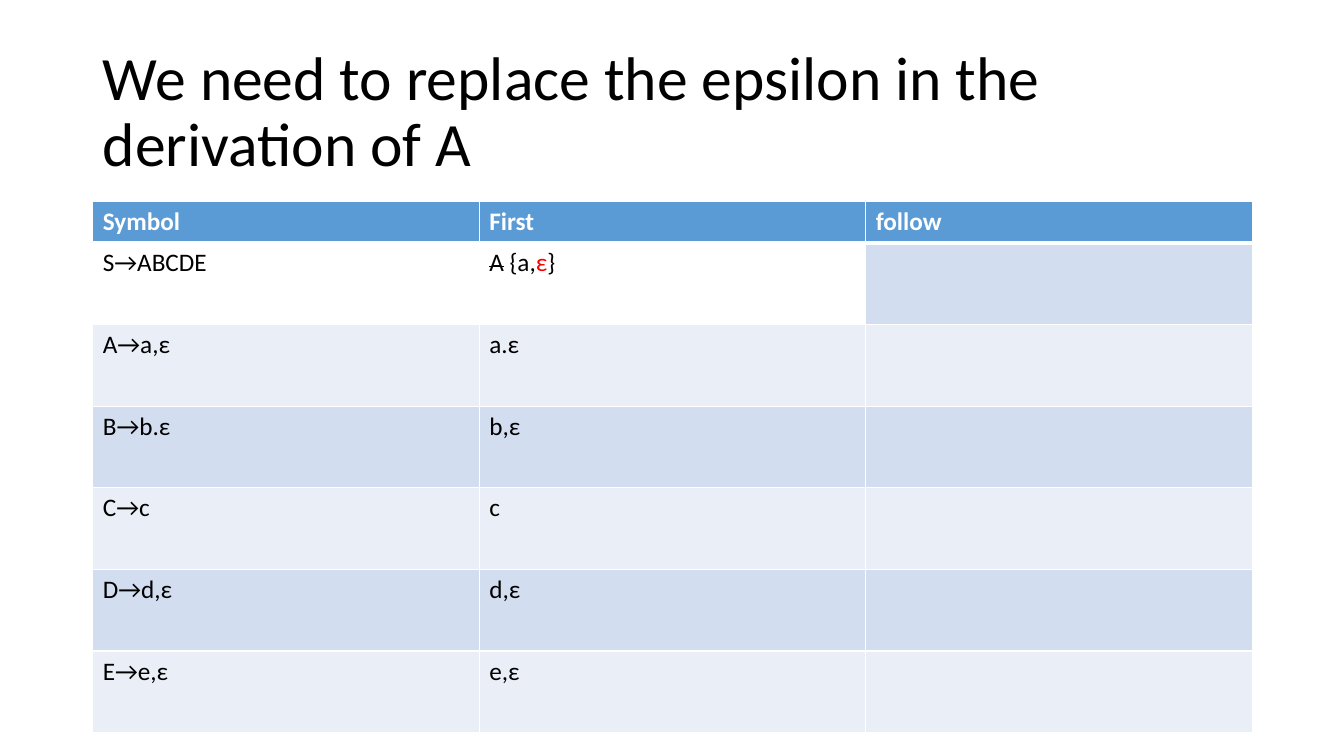
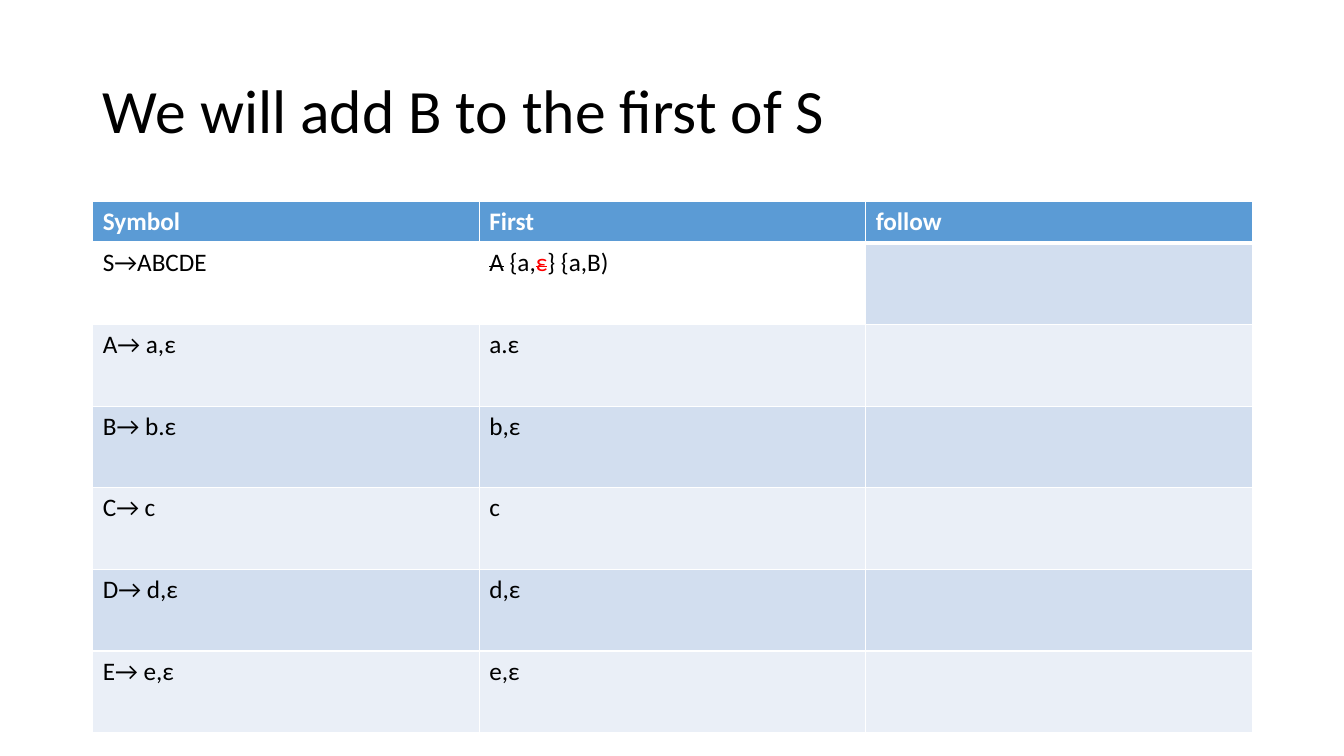
from typing import NamedTuple

from lxml import etree
from pptx import Presentation
from pptx.dml.color import RGBColor
from pptx.enum import text
from pptx.oxml.ns import qn
from pptx.util import Inches, Pt

FONT = "Calibri"
BLACK = RGBColor(0x00, 0x00, 0x00)
WHITE = RGBColor(0xFF, 0xFF, 0xFF)
RED = RGBColor(0xFF, 0x00, 0x00)
BLUE = RGBColor(0x5B, 0x9B, 0xD5)
BANDS = (RGBColor(0xEA, 0xEF, 0xF7), RGBColor(0xD2, 0xDE, 0xEF))

LEFT, WIDTH = Inches(0.92), Inches(11.5)
HEAD_H, ROW_H = Inches(0.41), Inches(0.81)
THIN, THICK = Pt(1), Pt(3)

HEADS = ("Symbol", "First", "follow")
# Each rule: symbol, derivation, first set
RULES = (
    ("A", "a,ε", "a.ε"),
    ("B", "b.ε", "b,ε"),
    ("C", "c", "c"),
    ("D", "d,ε", "d,ε"),
    ("E", "e,ε", "e,ε"),
)


class Piece(NamedTuple):
    text: str
    color: RGBColor = BLACK
    strike: bool = False


class Page(NamedTuple):
    title: str
    gap: str  # between arrow and derivation
    first: tuple[Piece, ...]  # first set of S


PAGES = (
    Page("We need to replace the epsilon in the derivation of A", "",
         (Piece("A", strike=True), Piece(" {a,"), Piece("ε", RED), Piece("}"))),
    Page("We will add B to the first of S", " ",
         (Piece("A", strike=True), Piece(" {a,"), Piece("ε", RED, True),
          Piece("} {a,B)"))),
)


def set_font(font, size: int, color: RGBColor, bold: bool = False) -> None:
    font.name, font.size, font.bold = FONT, Pt(size), bold
    font.color.rgb = color


def add_edges(cell, row: int) -> None:
    """White cell borders, thick between the header and the first row."""
    props = cell._tc.get_or_add_tcPr()
    wide = {(0, "lnB"), (1, "lnT")}
    for side in ("lnL", "lnR", "lnT", "lnB"):
        size = THICK if (row, side) in wide else THIN
        line = etree.SubElement(props, qn(f"a:{side}"), w=str(size))
        fill = etree.SubElement(line, qn("a:solidFill"))
        etree.SubElement(fill, qn("a:srgbClr"), val=str(WHITE))


def fill_cell(cell, row: int, col: int) -> None:
    if row == 1 and col < 2:  # the row of S stands out
        cell.fill.background()
        return
    cell.fill.solid()
    cell.fill.fore_color.rgb = BANDS[row % 2] if row else BLUE


def add_pieces(para, pieces: tuple[Piece, ...]) -> None:
    for piece in pieces:
        run = para.add_run()
        run.text = piece.text
        run.font.color.rgb = piece.color
        if piece.strike:
            run._r.get_or_add_rPr().set("strike", "sngStrike")


def add_title(slide, words: str) -> None:
    title = slide.shapes.title
    title.left, title.top = LEFT, Inches(0.4)
    title.width, title.height = WIDTH, Inches(1.45)
    frame = title.text_frame
    frame.text = words
    frame.auto_size = text.MSO_AUTO_SIZE.NONE
    frame.vertical_anchor = text.MSO_ANCHOR.MIDDLE
    para = frame.paragraphs[0]
    para.alignment = text.PP_ALIGN.LEFT
    para.line_spacing = 0.9
    set_font(para.font, 44, BLACK)


def add_grid(slide, page: Page) -> None:
    rows = [HEADS, ("S→ABCDE", page.first, "")]
    rows += [(f"{sym}→{page.gap}{rule}", first, "")
             for sym, rule, first in RULES]
    height = HEAD_H + ROW_H * (len(rows) - 1)
    table = slide.shapes.add_table(
        len(rows), len(HEADS), LEFT, Inches(2), WIDTH, height).table
    for r, items in enumerate(rows):
        table.rows[r].height = ROW_H if r else HEAD_H
        for c, item in enumerate(items):
            cell = table.cell(r, c)
            add_edges(cell, r)
            fill_cell(cell, r, c)
            para = cell.text_frame.paragraphs[0]
            set_font(para.font, 18, BLACK if r else WHITE, bold=not r)
            if isinstance(item, str):
                para.text = item
            else:
                add_pieces(para, item)


def main() -> None:
    deck = Presentation()
    deck.slide_width, deck.slide_height = Inches(13.33), Inches(7.5)
    layout = deck.slide_layouts[5]  # title only
    for page in PAGES:
        slide = deck.slides.add_slide(layout)
        add_title(slide, page.title)
        add_grid(slide, page)
    deck.save("out.pptx")


if __name__ == "__main__":
    main()
